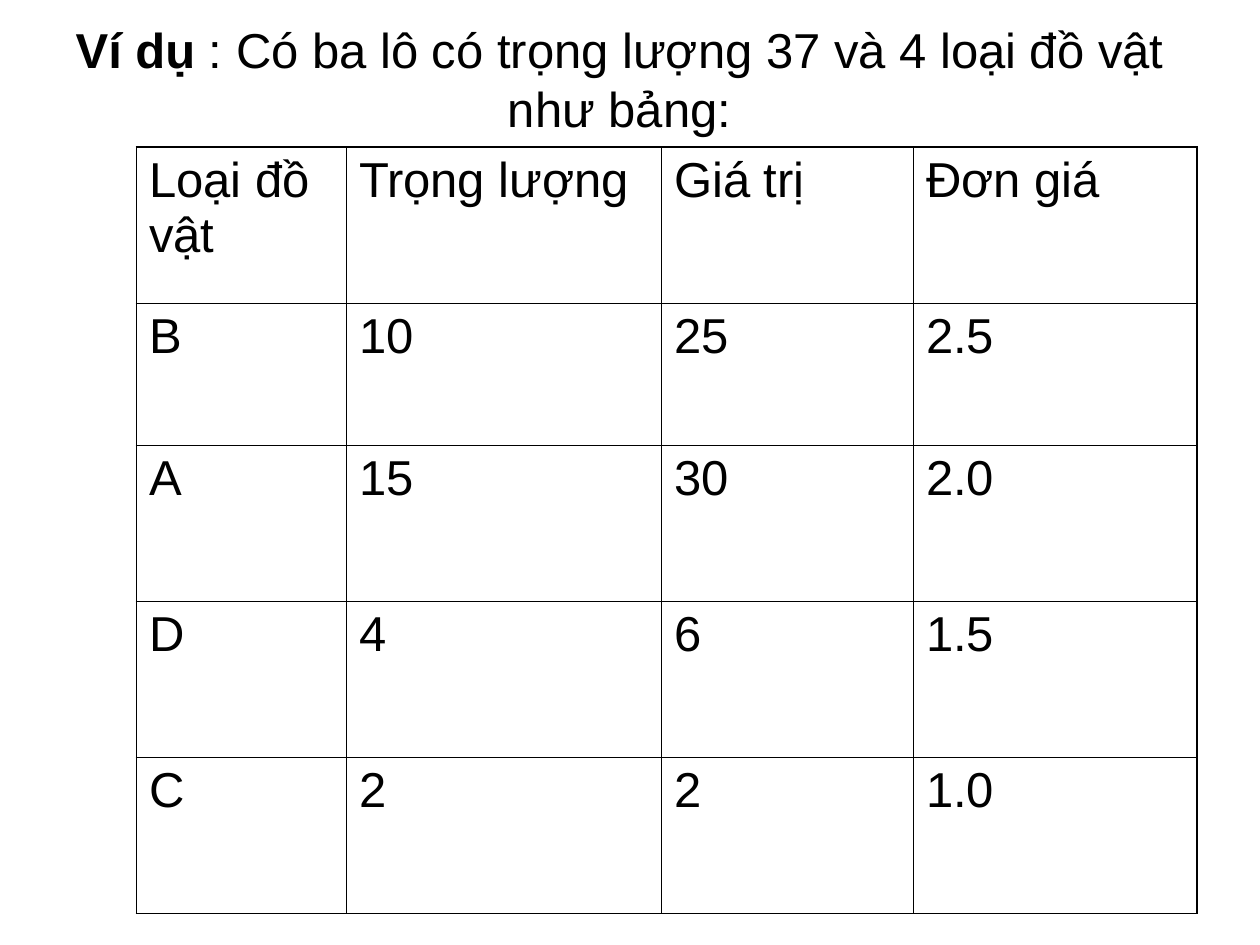
from lxml import etree
from pptx import Presentation
from pptx.dml.color import RGBColor
from pptx.enum import text
from pptx.oxml import ns
from pptx.util import Pt

BLACK = RGBColor(0, 0, 0)
THIN, THICK = Pt(0.45), Pt(1.08)
COLS = [120, 180, 144, 162]
ROWS = [89.25, 81, 89.25, 89.25, 89.25]
ITEMS = [
    ["Loại đồ vật", "Trọng lượng", "Giá trị", "Đơn giá"],
    ["B", "10", "25", "2.5"],
    ["A", "15", "30", "2.0"],
    ["D", "4", "6", "1.5"],
    ["C", "2", "2", "1.0"],
]


def add_run(para, words, bold=False):
    run = para.add_run()
    run.text = words
    font = run.font
    font.name, font.size, font.bold = "Arial", Pt(28), bold
    font.color.rgb = BLACK


def add_edge(cell, side, width):
    props = cell._tc.get_or_add_tcPr()
    line = etree.SubElement(props, ns.qn("a:ln" + side), w=str(width))
    fill = etree.SubElement(line, ns.qn("a:solidFill"))
    etree.SubElement(fill, ns.qn("a:srgbClr"), val=str(BLACK))


def add_title(slide, left, top, width, height):
    title = slide.shapes.title
    title.left, title.top = Pt(left), Pt(top)
    title.width, title.height = Pt(width), Pt(height)
    frame = title.text_frame
    frame.word_wrap = True
    frame.auto_size = text.MSO_AUTO_SIZE.NONE
    frame.vertical_anchor = text.MSO_ANCHOR.MIDDLE
    para = frame.paragraphs[0]
    para.alignment = text.PP_ALIGN.CENTER
    add_run(para, "Ví dụ", True)
    add_run(para, " : Có ba lô có trọng lượng 37 và 4 loại đồ vật như bảng:")


def add_items(slide, left, top, width, height):
    table = slide.shapes.add_table(
        len(ROWS), len(COLS), Pt(left), Pt(top), Pt(width), Pt(height)
    ).table
    table.first_row = table.horz_banding = False
    for col, size in zip(table.columns, COLS):
        col.width = Pt(size * width / sum(COLS))
    for row, size in zip(table.rows, ROWS):
        row.height = Pt(size * height / sum(ROWS))
    for r, line in enumerate(ITEMS):
        for c, words in enumerate(line):
            cell = table.cell(r, c)
            outer = {
                "L": c == 0,
                "R": c == len(COLS) - 1,
                "T": r == 0,
                "B": r == len(ROWS) - 1,
            }
            for side, edge in outer.items():
                add_edge(cell, side, THICK if edge else THIN)
            cell.fill.background()
            add_run(cell.text_frame.paragraphs[0], words)


def main():
    deck = Presentation()
    deck.slide_width, deck.slide_height = Pt(720), Pt(540)
    slide = deck.slides.add_slide(deck.slide_layouts[5])
    add_title(slide, 30, 0, 648, 90)
    add_items(slide, 78, 84, 606, 438)
    deck.save("out.pptx")


if __name__ == "__main__":
    main()
